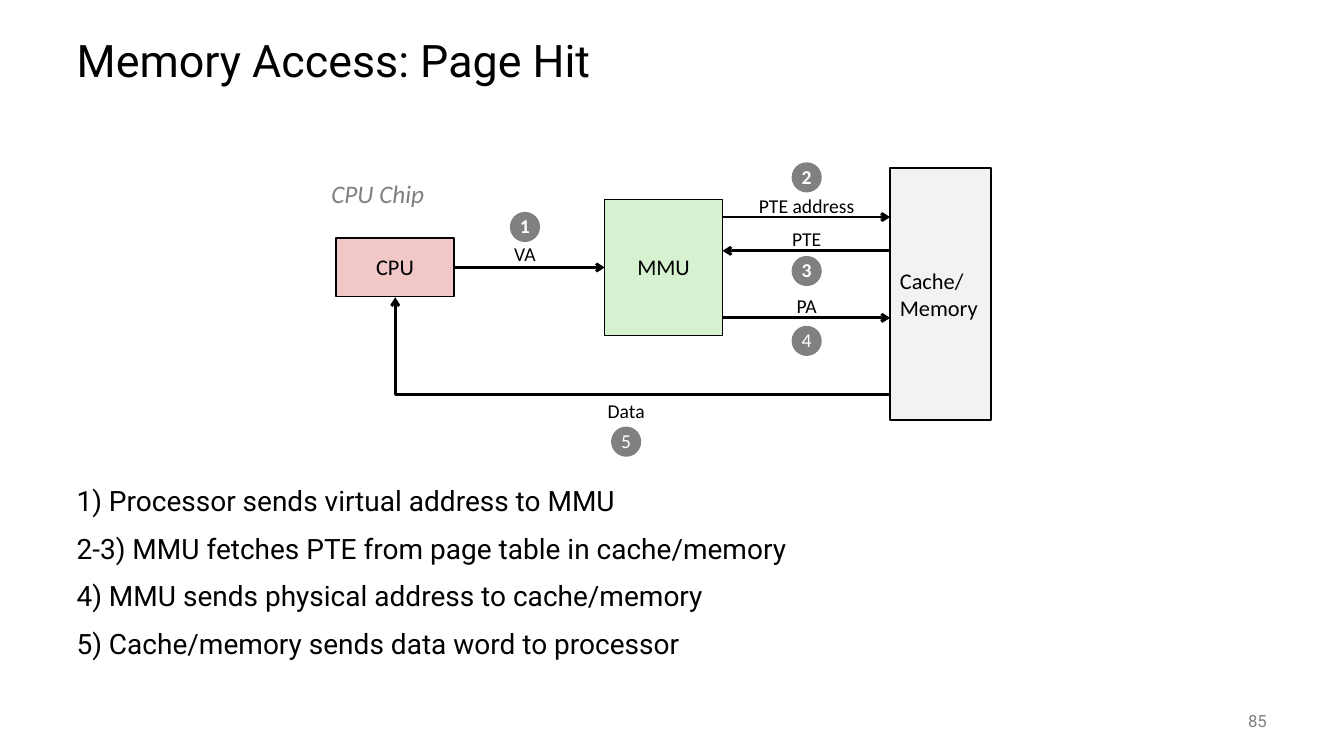
from pptx import Presentation
from pptx.dml.color import RGBColor
from pptx.enum.shapes import MSO_CONNECTOR as Connector, MSO_SHAPE as Shape
from pptx.enum.text import MSO_ANCHOR as Anchor, MSO_AUTO_SIZE as AutoSize, PP_ALIGN as Align
from pptx.oxml.ns import qn
from pptx.util import Cm, Pt
from lxml import etree

BLACK, GRAY, WHITE = "000000", "808080", "FFFFFF"
PINK, GREEN, PALE = "F1C7C7", "D5F1CF", "F2F2F2"

CPU_RIGHT, MMU_LEFT, MMU_RIGHT, MEMORY_LEFT = 11.44, 15.24, 18.21, 22.43
VA_X, DATA_X, MEMORY_X = 13.23, 15.78, 20.33  # centres of the label columns

STEPS = [
    "1) Processor sends virtual address to MMU",
    "2-3) MMU fetches PTE from page table in cache/memory",
    "4) MMU sends physical address to cache/memory",
    "5) Cache/memory sends data word to processor",
]
# text, centre x, centre y, width
LABELS = [
    ("VA", VA_X, 6.41, 1.07),
    ("PTE address", MEMORY_X, 5.21, 3),
    ("PTE", MEMORY_X, 6.03, 1.27),
    ("PA", MEMORY_X, 7.73, 1.04),
    ("Data", DATA_X, 10.38, 1.47),
]
# number, centre x, centre y, bold
BADGES = [
    ("1", VA_X, 5.72, True),
    ("2", MEMORY_X, 4.47, True),
    ("3", MEMORY_X, 6.83, True),
    ("4", MEMORY_X, 8.59, False),
    ("5", DATA_X, 11.13, False),
]
# start x, end x, y
ARROWS = [
    (CPU_RIGHT, MMU_LEFT, 6.74),
    (MMU_RIGHT, MEMORY_LEFT, 5.47),
    (MEMORY_LEFT, MMU_RIGHT, 6.32),
    (MMU_RIGHT, MEMORY_LEFT, 8.01),
]


def color(value):
    return RGBColor.from_string(value)


def write(shape, text, size=16, font="Calibri", ink=BLACK, bold=False, italic=False,
          align=Align.LEFT, anchor=Anchor.MIDDLE, wrap=False, line=1.0, before=0, hanging=0):
    """Put one paragraph per line of text into the shape; hanging in cm, before in points."""
    frame = shape.text_frame
    frame.auto_size = AutoSize.NONE
    frame.word_wrap = wrap
    frame.vertical_anchor = anchor
    for index, content in enumerate(text.split("\n")):
        paragraph = frame.paragraphs[0] if index == 0 else frame.add_paragraph()
        paragraph.alignment = align
        paragraph.line_spacing = line
        paragraph.space_before = Pt(before if index else 0)
        if hanging:
            properties = paragraph._p.get_or_add_pPr()
            properties.set("marL", str(Cm(hanging)))
            properties.set("indent", str(-Cm(hanging)))
        run = paragraph.add_run()
        run.text = content
        run.font.name = font
        run.font.size = Pt(size)
        run.font.bold = bold
        run.font.italic = italic
        run.font.color.rgb = color(ink)


def add_text(slide, text, left, top, width, height, **text_format):
    box = slide.shapes.add_textbox(Cm(left), Cm(top), Cm(width), Cm(height))
    write(box, text, **text_format)


def add_label(slide, text, x, y, width, height=0.84):
    add_text(slide, text, x - width / 2, y - height / 2, width, height,
             size=14, align=Align.CENTER, line=0.98)


def add_filled(slide, kind, text, left, top, width, height, fill, outline=0, **text_format):
    """Add a preset shape with text; an outline of 0 points means none."""
    shape = slide.shapes.add_shape(kind, Cm(left), Cm(top), Cm(width), Cm(height))
    shape.shadow.inherit = False
    shape.fill.solid()
    shape.fill.fore_color.rgb = color(fill)
    if outline:
        shape.line.color.rgb = color(BLACK)
        shape.line.width = Pt(outline)
    else:
        shape.line.fill.background()
    write(shape, text, **text_format)


def add_badge(slide, number, x, y, bold, diameter=0.76):
    add_filled(slide, Shape.OVAL, number, x - diameter / 2, y - diameter / 2, diameter, diameter,
               GRAY, size=14, ink=WHITE, bold=bold, align=Align.CENTER, line=0.98)


def add_arrow(slide, start_x, start_y, end_x, end_y, kind=Connector.STRAIGHT):
    connector = slide.shapes.add_connector(
        kind, Cm(start_x), Cm(start_y), Cm(end_x), Cm(end_y))
    connector.line.color.rgb = color(BLACK)
    connector.line.width = Pt(2)
    properties = connector._element.spPr
    etree.SubElement(properties.find(qn("a:ln")), qn("a:tailEnd"), type="arrow")
    etree.SubElement(properties, qn("a:effectLst"))
    return connector


def add_data_arrow(slide):
    """Run left from the memory, then up into the CPU: a one-bend connector turned by 180°."""
    connector = add_arrow(slide, 9.96, 7.49, MEMORY_LEFT, 9.95, Connector.ELBOW)
    properties = connector._element.spPr
    properties.find(qn("a:prstGeom")).set("prst", "bentConnector2")
    properties.find(qn("a:xfrm")).set("rot", str(180 * 60000))


def add_title(slide, text):
    title = slide.shapes.title
    title.left, title.top, title.width, title.height = Cm(1.68), Cm(0.64), Cm(30.48), Cm(1.9)
    write(title, text, size=32, font="Roboto", wrap=True, line=0.9)


def main():
    presentation = Presentation()
    presentation.slide_width, presentation.slide_height = Cm(33.87), Cm(19.05)
    slide = presentation.slides.add_slide(presentation.slide_layouts[5])

    add_title(slide, "Memory Access: Page Hit")
    add_text(slide, "\n".join(STEPS), 1.68, 12.15, 30.48, 5, size=20, font="Roboto",
             anchor=Anchor.TOP, wrap=True, line=0.9, before=12.5, hanging=0.64)

    centered = {"align": Align.CENTER, "line": 0.98}
    add_filled(slide, Shape.RECTANGLE, "MMU", MMU_LEFT, 5.03, 2.97, 3.43, GREEN, 1, **centered)
    add_filled(slide, Shape.RECTANGLE, "CPU", 8.47, 6, 2.97, 1.48, PINK, 1, **centered)
    add_filled(slide, Shape.RECTANGLE, "Cache/\nMemory", MEMORY_LEFT, 4.24, 2.54, 6.35, PALE, 1.5)
    add_text(slide, "CPU Chip", 8.1, 4.37, 2.95, 1.02, size=18, ink=GRAY, italic=True,
             anchor=Anchor.TOP)

    for label in LABELS:
        add_label(slide, *label)
    for start_x, end_x, y in ARROWS:
        add_arrow(slide, start_x, y, end_x, y)
    add_data_arrow(slide)
    for badge in BADGES:
        add_badge(slide, *badge)

    add_text(slide, "85", 29.64, 17.65, 2.54, 1.02, size=12, font="Roboto", ink=GRAY,
             align=Align.RIGHT, wrap=True)
    presentation.save("out.pptx")


if __name__ == "__main__":
    main()
